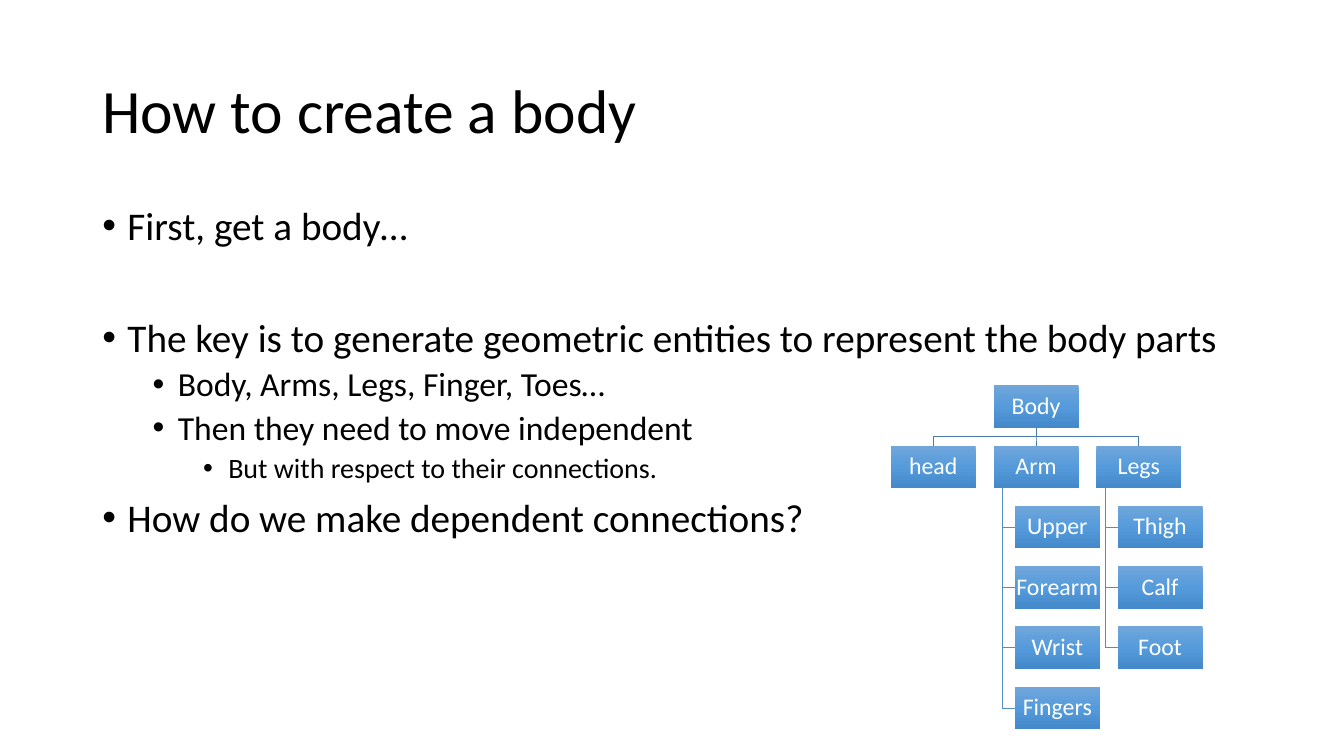
"""Build the slide "How to create a body" with its tree of body parts."""
import copy

import lxml.etree
import pptx
import pptx.dml.color
import pptx.enum.shapes
import pptx.enum.text
import pptx.oxml.ns
import pptx.util

Pt = pptx.util.Pt
qn = pptx.oxml.ns.qn
RGBColor = pptx.dml.color.RGBColor
BLACK = RGBColor(0x00, 0x00, 0x00)
WHITE = RGBColor(0xFF, 0xFF, 0xFF)
TRUNK_LINE = RGBColor(0x49, 0x7C, 0xAB)
BRANCH_LINE = RGBColor(0x53, 0x8D, 0xC1)
GRADIENT = [
    (0, RGBColor(0x71, 0xA6, 0xDB)),
    (0.5, RGBColor(0x55, 0x9B, 0xDB)),
    (1, RGBColor(0x44, 0x8A, 0xCA)),
]

BULLETS = [
    (0, "First, get a body…", 10),
    (0, "The key is to generate geometric entities to represent the body parts", 50),
    (1, "Body, Arms, Legs, Finger, Toes…", 5),
    (1, "Then they need to move independent", 5),
    (2, "But with respect to their connections.", 5),
    (0, "How do we make dependent connections?", 10),
]
LEVEL_SIZES = [28, 24, 20]
LIMBS = [
    ("head", []),
    ("Arm", ["Upper", "Forearm", "Wrist", "Fingers"]),
    ("Legs", ["Thigh", "Calf", "Foot"]),
]

NODE_WIDTH, NODE_HEIGHT = 60.7, 30.35
TREE_LEFT, TREE_TOP = 636.3, 275.2
COLUMN_STEP, ROW_STEP = 73.4, 43.05
CHILD_INDENT, STEM_INDENT = 15.2, 6.1

deck = pptx.Presentation()
deck.slide_width, deck.slide_height = Pt(960), Pt(540)
slide = deck.slides.add_slide(deck.slide_layouts[6])


def write(para, text, size, color):
    """Put one run of text into a paragraph."""
    para.line_spacing = 0.9
    span = para.add_run()
    span.text = text
    span.font.color.rgb = color
    for name, value in {"name": "Calibri", "size": Pt(size)}.items():
        setattr(span.font, name, value)


def draw_path(points, color):
    """Draw an open path through points."""
    corners = [(Pt(x), Pt(y)) for x, y in points]
    builder = slide.shapes.build_freeform(*corners[0])
    builder.add_line_segments(corners[1:], close=False)
    path = builder.convert_to_shape()
    path.shadow.inherit = False
    path.fill.background()
    path.line.color.rgb = color
    path.line.width = Pt(0.5)


title = slide.shapes.add_textbox(Pt(66), Pt(28.75), Pt(828), Pt(104.4))
title.text_frame.word_wrap = True
title.text_frame.vertical_anchor = pptx.enum.text.MSO_ANCHOR.MIDDLE
write(title.text_frame.paragraphs[0], "How to create a body", 44, BLACK)

body = slide.shapes.add_textbox(Pt(66), Pt(143.75), Pt(828), Pt(342.6))
body.text_frame.word_wrap = True
for index, (level, text, space) in enumerate(BULLETS):
    para = body.text_frame.add_paragraph() if index else body.text_frame.paragraphs[0]
    para.level = level
    para.space_before = Pt(space)
    write(para, text, LEVEL_SIZES[level], BLACK)
    properties = para._p.get_or_add_pPr()
    properties.set("marL", str(Pt(18 + 36 * level)))
    properties.set("indent", str(-Pt(18)))
    lxml.etree.SubElement(properties, qn("a:buFont")).set("typeface", "Arial")
    lxml.etree.SubElement(properties, qn("a:buChar")).set("char", "•")

root_left = TREE_LEFT + COLUMN_STEP
root_center = root_left + NODE_WIDTH / 2
root_bottom = TREE_TOP + NODE_HEIGHT
limb_top = TREE_TOP + ROW_STEP
bend = (root_bottom + limb_top) / 2
nodes = [("Body", root_left, TREE_TOP)]
for column, (limb, parts) in enumerate(LIMBS):
    left = TREE_LEFT + column * COLUMN_STEP
    center = left + NODE_WIDTH / 2
    nodes.append((limb, left, limb_top))
    trunk = [(root_center, root_bottom), (root_center, bend), (center, bend), (center, limb_top)]
    draw_path(trunk, TRUNK_LINE)
    stem = left + STEM_INDENT
    for row, part in enumerate(parts, start=2):
        top = TREE_TOP + row * ROW_STEP
        middle = top + NODE_HEIGHT / 2
        nodes.append((part, left + CHILD_INDENT, top))
        branch = [(stem, limb_top + NODE_HEIGHT), (stem, middle), (left + CHILD_INDENT, middle)]
        draw_path(branch, BRANCH_LINE)

for label, left, top in nodes:
    box = slide.shapes.add_shape(
        pptx.enum.shapes.MSO_SHAPE.RECTANGLE, Pt(left), Pt(top), Pt(NODE_WIDTH), Pt(NODE_HEIGHT)
    )
    box.shadow.inherit = False
    box.line.fill.background()
    box.fill.gradient()
    box.fill.gradient_angle = 270
    stop_list = box._element.spPr.find(".//" + qn("a:gsLst"))
    stop_list.append(copy.deepcopy(stop_list[-1]))
    for stop, (position, color) in zip(box.fill.gradient_stops, GRADIENT):
        stop.position = position
        stop.color.rgb = color
    frame_format = {
        "word_wrap": False,
        "vertical_anchor": pptx.enum.text.MSO_ANCHOR.MIDDLE,
        "margin_left": Pt(0.75),
        "margin_right": Pt(0.75),
        "margin_top": Pt(0.75),
        "margin_bottom": Pt(0.75),
    }
    for name, value in frame_format.items():
        setattr(box.text_frame, name, value)
    para = box.text_frame.paragraphs[0]
    para.alignment = pptx.enum.text.PP_ALIGN.CENTER
    write(para, label, 17, WHITE)

deck.save("out.pptx")
